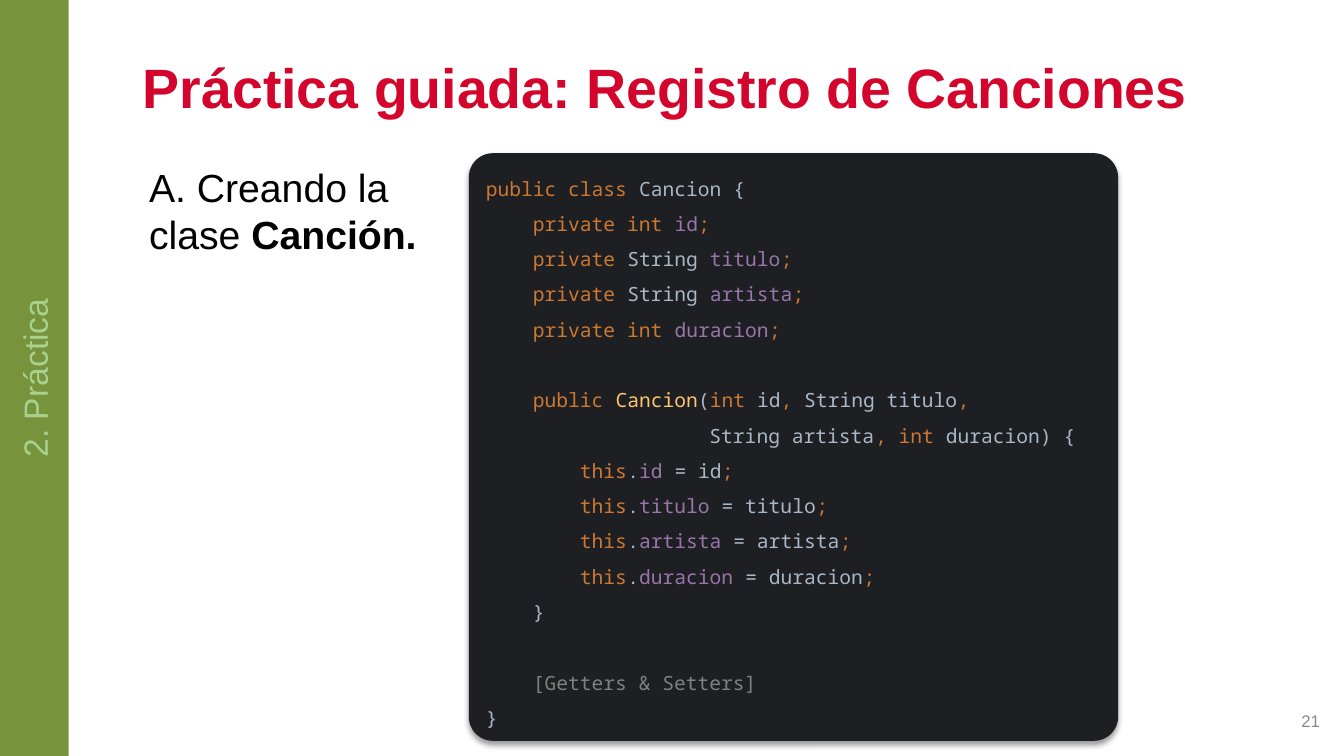
from dataclasses import dataclass

from lxml import etree
from pptx import Presentation
from pptx.dml.color import RGBColor
from pptx.enum.shapes import MSO_SHAPE as Shape
from pptx.enum.text import MSO_ANCHOR as Anchor, PP_ALIGN as Align
from pptx.oxml.ns import qn
from pptx.util import Inches, Pt


@dataclass(frozen=True)
class Theme:
    sans: str = "Arial"
    mono: str = "Noto Sans Mono"
    title_size: float = 39.6
    body_size: float = 28
    section_size: float = 24
    code_size: float = 14
    number_size: float = 12
    title: str = "D3052C"
    body: str = "000000"
    number: str = "888888"
    sidebar: str = "77933C"
    section: str = "A9D18E"
    panel: str = "1E1F22"
    shadow: str = "000000"
    keyword: str = "CC7832"
    plain: str = "A9B7C6"
    field: str = "9876AA"
    method: str = "FFC66D"
    comment: str = "808080"


THEME = Theme()


def declaration(keywords, type_name, field):
    return [(THEME.keyword, f"    {keywords}"), (THEME.plain, type_name),
            (THEME.field, field), (THEME.keyword, ";")]


def assignment(field):
    return [(THEME.keyword, "        this"), (THEME.plain, "."),
            (THEME.field, f"{field} "), (THEME.plain, f"= {field}"),
            (THEME.keyword, ";")]


CODE = [
    [(THEME.keyword, "public class "), (THEME.plain, "Cancion {")],
    declaration("private int ", "", "id"),
    declaration("private ", "String ", "titulo"),
    declaration("private ", "String ", "artista"),
    declaration("private int ", "", "duracion"),
    [],
    [(THEME.keyword, "    public "), (THEME.method, "Cancion"),
     (THEME.plain, "("), (THEME.keyword, "int "), (THEME.plain, "id"),
     (THEME.keyword, ", "), (THEME.plain, "String titulo"),
     (THEME.keyword, ",")],
    [(THEME.plain, "                   String artista"),
     (THEME.keyword, ", int "), (THEME.plain, "duracion) {")],
    *[assignment(field) for field in ("id", "titulo", "artista", "duracion")],
    [(THEME.plain, "    }")],
    [],
    [(THEME.comment, "    [Getters & Setters]")],
    [(THEME.plain, "}")],
]


def apply_format(target, values):
    for attribute, value in values.items():
        setattr(target, attribute, value)


def add_run(paragraph, words, font, size, color, bold=False):
    run = paragraph.add_run()
    run.text = words
    apply_format(run.font, {"name": font, "size": Pt(size), "bold": bold})
    run.font.color.rgb = RGBColor.from_string(color)


def add_text_area(slide, box, anchor=Anchor.MIDDLE):
    frame = slide.shapes.add_textbox(*map(Inches, box)).text_frame
    apply_format(frame, {"word_wrap": True, "vertical_anchor": anchor})
    return frame.paragraphs[0]


def add_panel(slide, box, preset, color):
    panel = slide.shapes.add_shape(preset, *map(Inches, box))
    panel.shadow.inherit = False
    panel.fill.solid()
    panel.fill.fore_color.rgb = RGBColor.from_string(color)
    panel.line.fill.background()
    panel.text_frame.vertical_anchor = Anchor.MIDDLE
    return panel


def add_title(slide, box, words):
    heading = add_text_area(slide, box)
    heading.line_spacing = 0.9
    add_run(heading, words, THEME.sans, THEME.title_size, THEME.title, True)


def add_page_number(slide, box, number):
    footer = add_text_area(slide, box)
    footer.alignment = Align.RIGHT
    add_run(footer, number, THEME.sans, THEME.number_size, THEME.number)


def add_step(slide, box, lead, class_name):
    step = add_text_area(slide, box, Anchor.TOP)
    step._p.get_or_add_pPr().set("marL", str(Inches(0.06)))
    for words, bold in ((lead, False), (class_name, True)):
        add_run(step, words, THEME.sans, THEME.body_size, THEME.body, bold)


def add_soft_shadow(panel):
    effects = panel._element.spPr.find(qn("a:effectLst"))
    shadow = etree.SubElement(effects, qn("a:outerShdw"), {
        "blurRad": str(Pt(4)), "dist": str(Pt(3)),
        "dir": "5400000", "algn": "t", "rotWithShape": "0"})
    color = etree.SubElement(shadow, qn("a:srgbClr"), val=THEME.shadow)
    etree.SubElement(color, qn("a:alpha"), val="40000")


def add_code(slide, box, lines):
    panel = add_panel(slide, box, Shape.ROUNDED_RECTANGLE, THEME.panel)
    panel.adjustments[0] = 0.041
    add_soft_shadow(panel)
    panel.text_frame.word_wrap = True
    listing = panel.text_frame.paragraphs[0]
    apply_format(listing, {"alignment": Align.LEFT, "line_spacing": 1.5})
    for index, line in enumerate(lines):
        if index:
            listing.add_line_break()
        for color, words in line:
            if words:
                add_run(listing, words, THEME.mono, THEME.code_size, color)
    for line_break in listing._p.findall(qn("a:br")):
        style = etree.SubElement(line_break, qn("a:rPr"),
                                 sz=str(THEME.code_size * 100))
        etree.SubElement(style, qn("a:latin"), typeface=THEME.mono)


def add_sidebar(slide, box, words):
    sidebar = add_panel(slide, box, Shape.RECTANGLE, THEME.sidebar)
    sidebar.text_frame._txBody.bodyPr.set("vert", "vert270")
    section = sidebar.text_frame.paragraphs[0]
    section.alignment = Align.CENTER
    add_run(section, words, THEME.sans, THEME.section_size, THEME.section)


def main():
    deck = Presentation()
    apply_format(deck, {"slide_width": Inches(13.33),
                        "slide_height": Inches(7.5)})
    slide = deck.slides.add_slide(deck.slide_layouts[6])
    add_title(slide, (1.32, 0.47, 11.1, 0.86),
              "Práctica guiada: Registro de Canciones")
    add_page_number(slide, (10.19, 6.95, 3, 0.4), "21")
    add_step(slide, (1.32, 1.57, 2.93, 5.23),
             "A. Creando la clase ", "Canción.")
    add_code(slide, (4.65, 1.52, 6.44, 5.83), CODE)
    add_sidebar(slide, (0, 0, 0.68, 7.5), "2. Práctica")
    deck.save("out.pptx")


if __name__ == "__main__":
    main()
